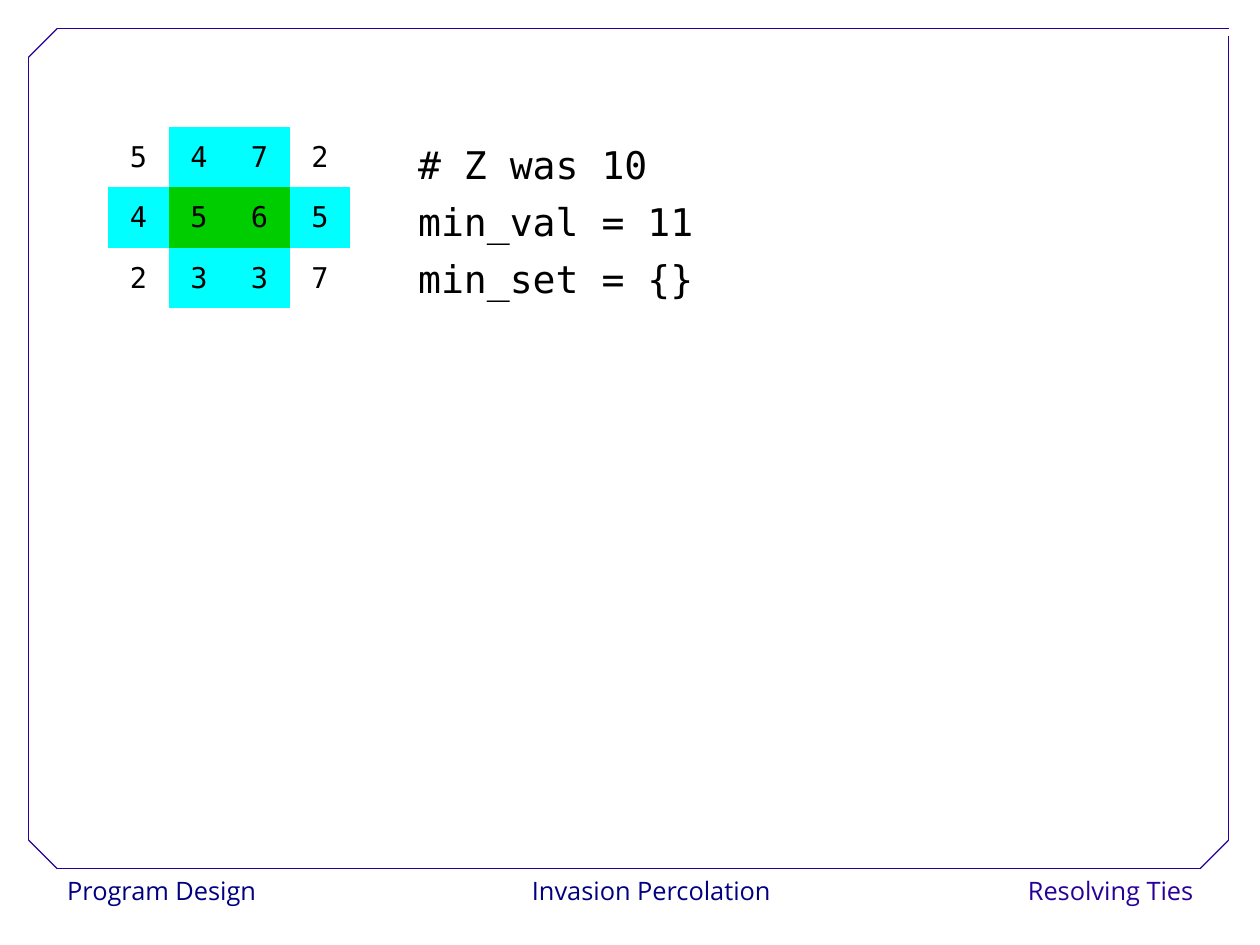
from pptx import Presentation
from pptx.dml.color import RGBColor
from pptx.enum.shapes import MSO_CONNECTOR
from pptx.enum.text import MSO_ANCHOR, PP_ALIGN
from pptx.oxml.ns import qn
from pptx.util import Pt

LEFT, CENTER, RIGHT = PP_ALIGN.LEFT, PP_ALIGN.CENTER, PP_ALIGN.RIGHT
MIDDLE = MSO_ANCHOR.MIDDLE
STRAIGHT = MSO_CONNECTOR.STRAIGHT
NO_STYLE = "{2D5ABB26-0587-4C30-8999-92F81FD0307C}"

NAVY, PURPLE, BLACK, WHITE = "000080", "280099", "000000", "FFFFFF"
FILLS = {"c": "00FFFF", "g": "00CD00"}
SANS, MONO = "Open Sans", "DejaVu Sans Mono"

GRID = ["5472", "4565", "2337"]
GRID_FILLS = [".cc.", "cggc", ".cc."]
CODE = ["# Z was 10", "min_val = 11", "min_set = {}"]


def color(value):
    return RGBColor.from_string(value)


def write(p, text, size, font, hue, **para):
    r = p.add_run()
    r.text = text
    for name, value in {"size": Pt(size), "name": font}.items():
        setattr(r.font, name, value)
    r.font.color.rgb = color(hue)
    for name, value in para.items():
        setattr(p, name, value)


def add_text_box(s, box):
    sp = s.shapes.add_textbox(*map(Pt, box))
    sp.text_frame.word_wrap = False
    return sp


# Footer: three labels on one baseline
def add_footer(s, x, y, w, h):
    labels = [
        ("Program Design", x, 136, LEFT, NAVY),
        ("Invasion Percolation", x + 291, 168, CENTER, NAVY),
        ("Resolving Ties", x + w - 122, 122, RIGHT, PURPLE),
    ]
    for text, left, width, align, hue in labels:
        sp = add_text_box(s, (left, y, width, h))
        sp.fill.solid()
        sp.fill.fore_color.rgb = color(WHITE)
        write(sp.text_frame.paragraphs[0], text, 16, SANS, hue,
              alignment=align, line_spacing=1.02)


# Frame: cut corners everywhere but top right
def add_frame(s, x, y, w, h, cut=18, gap=5):
    right, bottom = x + w, y + h
    edges = [
        (x + cut, bottom, right - cut, bottom),
        (x, bottom - cut, x, y + cut),
        (x + cut, y, right, y),
        (right, bottom - cut, right, y + gap),
        (x, y + cut, x + cut, y),
        (right - cut, bottom, right, bottom - cut),
        (x, bottom - cut, x + cut, bottom),
    ]
    for edge in edges:
        line = s.shapes.add_connector(STRAIGHT, *map(Pt, edge))
        line.line.color.rgb = color(PURPLE)
        line.line.width = Pt(0.75)
        sp_pr = line._element.spPr
        sp_pr.append(sp_pr.makeelement(qn("a:effectLst"), {}))


# Number grid: filled region in green, its neighbours in cyan
def add_grid(s, x, y, w, h):
    rows, cols = len(GRID), len(GRID[0])
    frame = s.shapes.add_table(rows, cols, *map(Pt, (x, y, w, h)))
    table = frame.table
    table._tbl.tblPr.find(qn("a:tableStyleId")).text = NO_STYLE
    table.first_row = table.horz_banding = False
    for col in table.columns:
        col.width = Pt(w / cols)
    for row, digits, keys in zip(table.rows, GRID, GRID_FILLS):
        row.height = Pt(h / rows)
        for cell, digit, key in zip(row.cells, digits, keys):
            cell.vertical_anchor = MIDDLE
            if key in FILLS:
                cell.fill.solid()
                cell.fill.fore_color.rgb = color(FILLS[key])
            else:
                cell.fill.background()
            write(cell.text_frame.paragraphs[0], digit, 18, MONO, BLACK,
                  alignment=CENTER, line_spacing=1.02)


# Code: one paragraph per line
def add_code(s, x, y, w, h):
    tf = add_text_box(s, (x, y, w, h)).text_frame
    for i, text in enumerate(CODE):
        p = tf.add_paragraph() if i else tf.paragraphs[0]
        write(p, text, 24, MONO, BLACK, line_spacing=1.25)


def main():
    prs = Presentation()
    prs.slide_width, prs.slide_height = Pt(793.75), Pt(595.25)
    s = prs.slides.add_slide(prs.slide_layouts[6])
    add_footer(s, 35.3, 547.2, 723.6, 28.8)
    add_frame(s, 18, 18, 756, 529.2)
    add_grid(s, 68.2, 79.9, 152.4, 114.3)
    add_code(s, 256.3, 78.4, 467.3, 118)
    prs.save("out.pptx")


if __name__ == "__main__":
    main()
